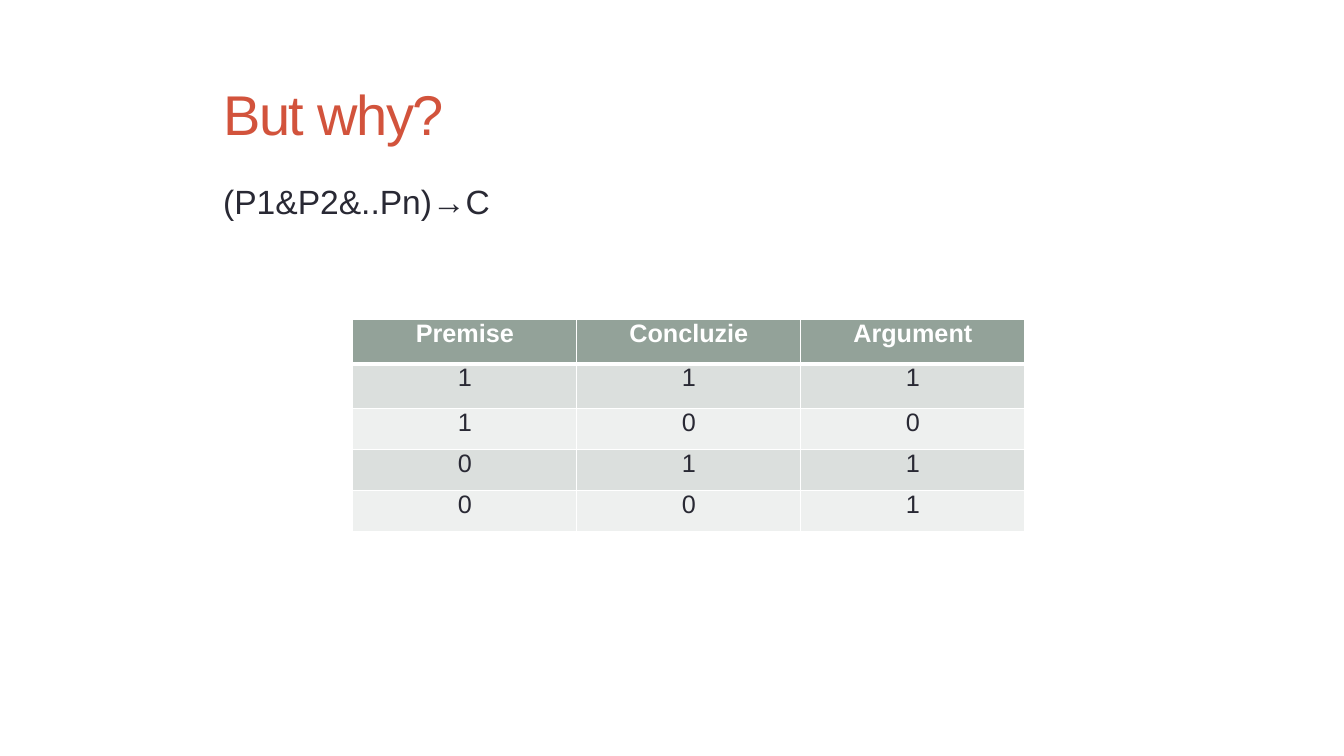
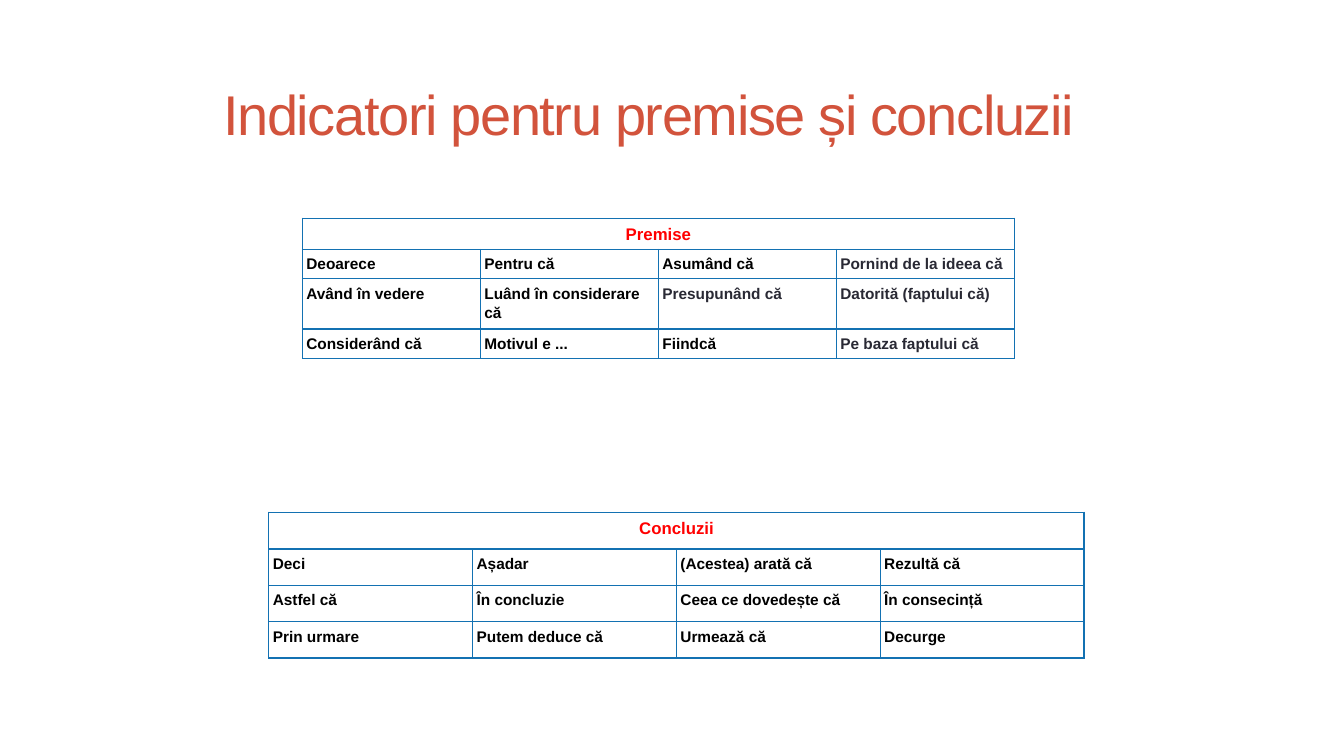
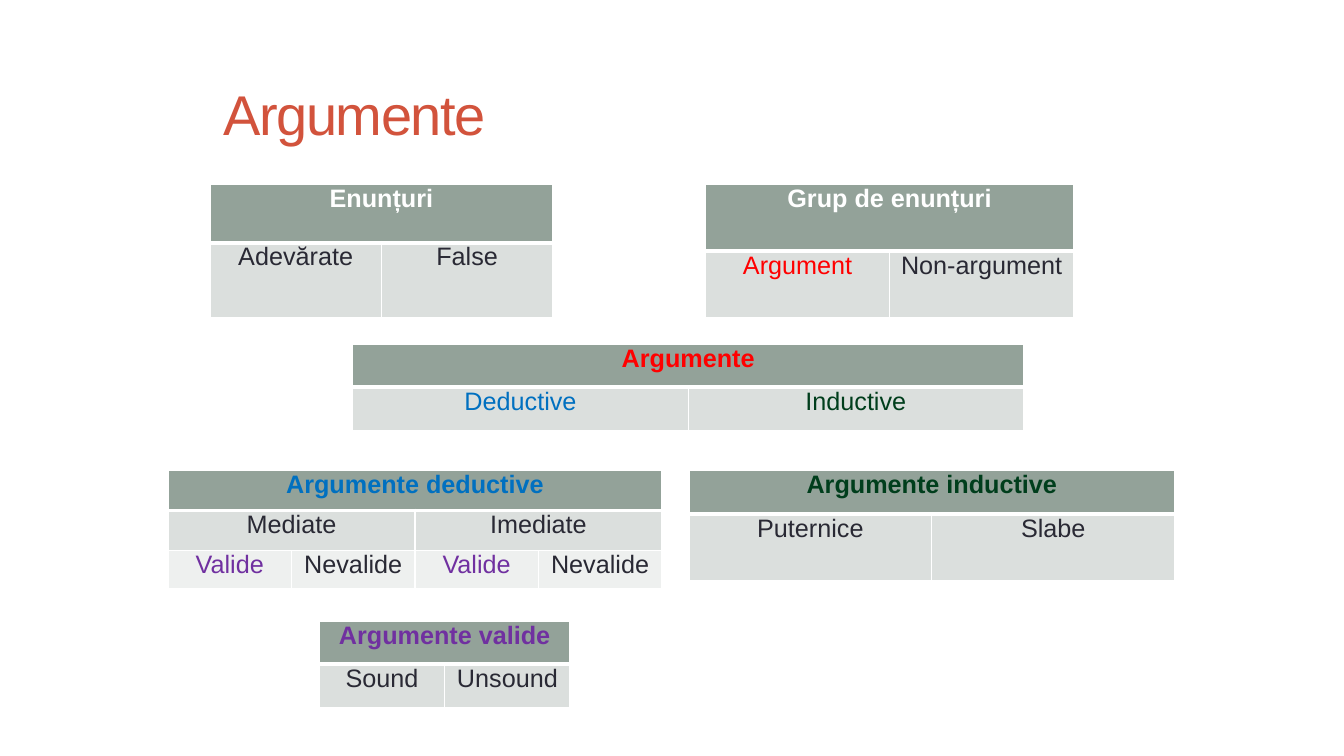
from dataclasses import dataclass, field

from lxml.etree import SubElement
from pptx import Presentation
from pptx.dml.color import RGBColor
from pptx.enum.shapes import MSO_SHAPE as Preset
from pptx.enum.text import MSO_ANCHOR as Anchor, PP_ALIGN as Align
from pptx.oxml.ns import qn
from pptx.slide import Slide
from pptx.table import _Cell as Cell
from pptx.text.text import TextFrame
from pptx.util import Cm, Pt


# Theme
@dataclass(frozen=True)
class Theme:
    font: str = "Arial"
    white: str = "FFFFFF"
    ink: str = "292934"
    black: str = "000000"
    title: str = "D2533C"
    sage: str = "93A299"
    band_dark: str = "DBDFDD"
    band_light: str = "EEF0EF"
    grid: str = "1371B2"
    red: str = "FF0000"
    blue: str = "0070C0"
    green: str = "003E1C"
    purple: str = "7030A0"
    title_size: int = 80
    body_size: int = 48
    table_size: int = 36
    grid_head_size: int = 24
    grid_size: int = 22


THEME = Theme()


@dataclass(frozen=True)
class TableStyle:
    head_color: str
    color: str
    head_size: int
    size: int
    bold: bool
    align: Align
    spacing: float
    inset: float
    border: str
    rule: int  # width of the line under the header
    head_fill: str | None = None
    bands: tuple[str | None, ...] = (None,)


BANDED = TableStyle(THEME.white, THEME.ink, THEME.table_size, THEME.table_size,
                    False, Align.CENTER, 0.9, 0.13, THEME.white, 6,
                    THEME.sage, (THEME.band_dark, THEME.band_light))
GRID = TableStyle(THEME.red, THEME.black, THEME.grid_head_size, THEME.grid_size,
                  True, Align.LEFT, 1.15, 0.2, THEME.grid, 2)


@dataclass(frozen=True)
class TableSpec:
    """Lengths in centimetres; a None cell continues the one to its left."""
    left: float
    top: float
    column: float
    heights: list[float]
    rows: list[list[str | None]]
    style: TableStyle = BANDED
    accents: dict[str, str] = field(default_factory=dict)


# Drawing
def write(frame: TextFrame, text: str, *, size: int, color: str,
          bold: bool = False, align: Align = Align.LEFT,
          spacing: float | None = None, tracking: int = 0) -> None:
    para = frame.paragraphs[0]
    para.alignment = align
    if spacing:
        para.line_spacing = spacing
    span = para.add_run()
    span.text = text
    span.font.name = THEME.font
    span.font.size = Pt(size)
    span.font.bold = bold
    span.font.color.rgb = RGBColor.from_string(color)
    if tracking:
        span.font._element.set("spc", str(tracking * 100))


def add_text(page: Slide, top: float, height: float, text: str, *,
             anchor: Anchor = Anchor.TOP, **style) -> None:
    frame = page.shapes.add_textbox(Cm(11), Cm(top), Cm(45.72), Cm(height)).text_frame
    frame.word_wrap = True
    frame.vertical_anchor = anchor
    frame.margin_left = frame.margin_right = Cm(0.25)
    frame.margin_top = frame.margin_bottom = Cm(0.25)
    write(frame, text, **style)


def add_page(deck: Presentation, title: str) -> Slide:
    page = deck.slides.add_slide(deck.slide_layouts[6])
    band = page.shapes.add_shape(Preset.RECTANGLE, Cm(8.47), 0, Cm(50.8), Cm(2.03))
    band.shadow.inherit = False
    band.fill.solid()
    band.fill.fore_color.rgb = RGBColor.from_string(THEME.white)
    band.line.fill.background()
    add_text(page, 2.97, 5.5, title, anchor=Anchor.MIDDLE, size=THEME.title_size,
             color=THEME.title, tracking=-2)
    return page


def set_borders(cell: Cell, color: str, top: int, bottom: int) -> None:
    properties = cell._tc.get_or_add_tcPr()
    for side, width in {"L": 2, "R": 2, "T": top, "B": bottom}.items():
        line = SubElement(properties, qn(f"a:ln{side}"), w=str(Pt(width)))
        SubElement(SubElement(line, qn("a:solidFill")), qn("a:srgbClr"), val=color)


def style_cell(cell: Cell, row: int, style: TableStyle) -> None:
    set_borders(cell, style.border, style.rule if row == 1 else 2,
                style.rule if row == 0 else 2)
    fill = style.bands[(row - 1) % len(style.bands)] if row else style.head_fill
    if fill:
        cell.fill.solid()
        cell.fill.fore_color.rgb = RGBColor.from_string(fill)
    else:
        cell.fill.background()
    cell.margin_left = cell.margin_right = Cm(style.inset)
    cell.margin_top = cell.margin_bottom = Cm(style.inset)


def add_grid(page: Slide, spec: TableSpec) -> None:
    style, count = spec.style, len(spec.rows[0])
    table = page.shapes.add_table(
        len(spec.rows), count, Cm(spec.left), Cm(spec.top),
        Cm(spec.column * count), Cm(sum(spec.heights))).table
    table.first_row = table.horz_banding = False
    for column in table.columns:
        column.width = Cm(spec.column)
    for r, (height, texts) in enumerate(zip(spec.heights, spec.rows)):
        table.rows[r].height = Cm(height)
        for c, text in enumerate(texts):
            cell = table.cell(r, c)
            style_cell(cell, r, style)
            if text is None:
                continue
            end = c
            while end + 1 < count and texts[end + 1] is None:
                end += 1
            if end > c:
                cell.merge(table.cell(r, end))
            color = style.color if r else style.head_color
            write(cell.text_frame, text,
                  size=style.size if r else style.head_size,
                  color=spec.accents.get(text, color),
                  bold=style.bold or r == 0,
                  align=style.align if r else Align.CENTER,
                  spacing=style.spacing)


# Content
TRUTH = TableSpec(17.78, 16.09, 11.29, [2.24] * 2 + [2.08] * 3, [
    ["Premise", "Concluzie", "Argument"],
    ["1", "1", "1"],
    ["1", "0", "0"],
    ["0", "1", "1"],
    ["0", "0", "1"],
])

INDICATORS = [
    TableSpec(15.24, 11, 8.97, [1.42, 1.35, 2.41, 1.35], [
        ["Premise", None, None, None],
        ["Deoarece", "Pentru că", "Asumând că", "Pornind de la ideea că"],
        ["Având în vedere", "Luând în considerare că", "Presupunând că",
         "Datorită (faptului că)"],
        ["Considerând că", "Motivul e ...", "Fiindcă", "Pe baza faptului că"],
    ], GRID, dict.fromkeys(["Pornind de la ideea că", "Presupunând că",
                            "Datorită (faptului că)", "Pe baza faptului că"], THEME.ink)),
    TableSpec(13.55, 25.82, 10.27, [1.85] + [1.83] * 3, [
        ["Concluzii", None, None, None],
        ["Deci", "Așadar", "(Acestea) arată că", "Rezultă că"],
        ["Astfel că", "În concluzie", "Ceea ce dovedește că", "În consecință"],
        ["Prin urmare", "Putem deduce că", "Urmează că", "Decurge"],
    ], GRID),
]

ARGUMENTS = [
    TableSpec(10.58, 9.31, 8.64, [2.92, 3.76],
              [["Enunțuri", None], ["Adevărate", "False"]]),
    TableSpec(35.56, 9.31, 9.27, [3.35, 3.35],
              [["Grup de enunțuri", None], ["Argument", "Non-argument"]],
              accents={"Argument": THEME.red}),
    TableSpec(17.78, 17.36, 16.9, [2.16, 2.16],
              [["Argumente", None], ["Deductive", "Inductive"]],
              accents={"Argumente": THEME.red, "Deductive": THEME.blue,
                       "Inductive": THEME.green}),
    TableSpec(8.47, 23.7, 6.22, [2.03, 2.03, 1.9],
              [["Argumente deductive", None, None, None],
               ["Mediate", None, "Imediate", None],
               ["Valide", "Nevalide"] * 2],
              accents={"Argumente deductive": THEME.blue, "Valide": THEME.purple}),
    TableSpec(34.72, 23.7, 12.24, [2.21, 3.33],
              [["Argumente inductive", None], ["Puternice", "Slabe"]],
              accents={"Argumente inductive": THEME.green}),
    TableSpec(16.09, 31.32, 6.32, [2.16, 2.16],
              [["Argumente valide", None], ["Sound", "Unsound"]],
              accents={"Argumente valide": THEME.purple}),
]


def main() -> None:
    deck = Presentation()
    deck.slide_width, deck.slide_height = Cm(67.73), Cm(38.1)

    # Truth table of an argument
    page = add_page(deck, "But why?")
    add_text(page, 8.89, 27.1, "(P1&P2&..Pn)→C", size=THEME.body_size, color=THEME.ink)
    add_grid(page, TRUTH)

    # Indicator words
    page = add_page(deck, "Indicatori pentru premise și concluzii")
    for spec in INDICATORS:
        add_grid(page, spec)

    # Kinds of arguments
    page = add_page(deck, "Argumente")
    for spec in ARGUMENTS:
        add_grid(page, spec)

    deck.save("out.pptx")


if __name__ == "__main__":
    main()
